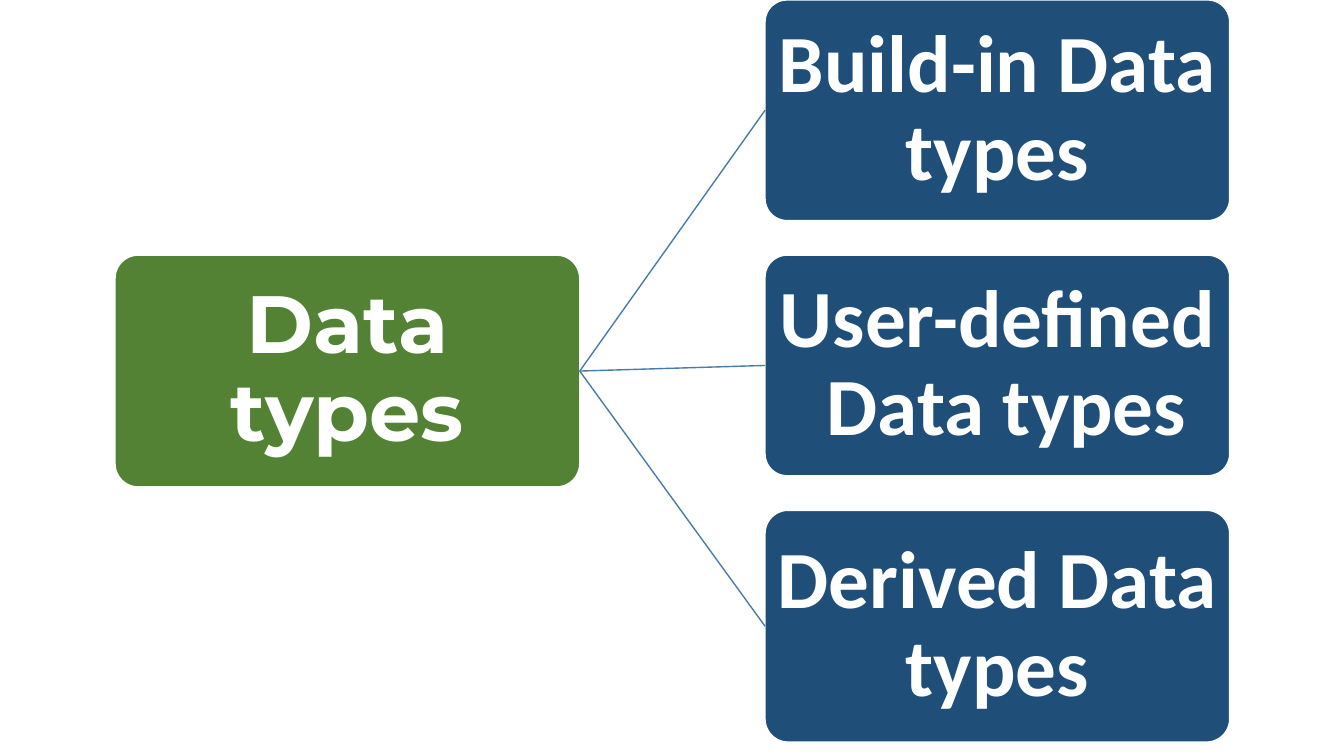
import pptx
import pptx.dml.color
import pptx.enum.shapes
import pptx.enum.text
import pptx.oxml.ns
import pptx.util
from pptx.util import Cm

WHITE = pptx.dml.color.RGBColor(0xFF, 0xFF, 0xFF)
GREEN = pptx.dml.color.RGBColor(0x54, 0x82, 0x35)
NAVY = pptx.dml.color.RGBColor(0x1F, 0x4E, 0x79)
BRANCH_BLUE = pptx.dml.color.RGBColor(0x49, 0x7C, 0xAB)

BOX_WIDTH = 11.71
ROW_PITCH = 6.43
TEXT_INSET = Cm(0.1)

presentation = pptx.Presentation()
presentation.slide_width = Cm(33.87)
presentation.slide_height = Cm(19.05)
slide = presentation.slides.add_slide(presentation.slide_layouts[6])


def add_box(text, *, left, top, height, fill, font):
    box = slide.shapes.add_shape(
        pptx.enum.shapes.MSO_SHAPE.ROUNDED_RECTANGLE,
        Cm(left), Cm(top), Cm(BOX_WIDTH), Cm(height))
    box.adjustments[0] = 0.1
    box.shadow.inherit = False
    box.fill.solid()
    box.fill.fore_color.rgb = fill
    box.line.color.rgb = WHITE
    box.line.width = pptx.util.Pt(1)

    frame = box.text_frame
    frame.word_wrap = True
    frame.vertical_anchor = pptx.enum.text.MSO_ANCHOR.MIDDLE
    frame.margin_left = frame.margin_right = TEXT_INSET
    frame.margin_top = frame.margin_bottom = TEXT_INSET
    paragraph = frame.paragraphs[0]
    paragraph.text = text
    paragraph.alignment = pptx.enum.text.PP_ALIGN.CENTER
    paragraph.line_spacing = 0.9
    for run in paragraph.runs:
        run.font.name = font
        run.font.size = pptx.util.Pt(58)
        run.font.bold = True
        run.font.color.rgb = WHITE
    return box


data_types = add_box("Data types", left=2.9, top=ROW_PITCH, height=5.84,
                     fill=GREEN, font="Montserrat")

categories = [
    ("Build-in Data types", 5.56),
    ("User-defined\v Data types", 5.56),
    ("Derived Data types", 5.84),
]
for row, (label, height) in enumerate(categories):
    category = add_box(label, left=19.28, top=row * ROW_PITCH, height=height,
                       fill=NAVY, font="Calibri")
    branch = slide.shapes.add_connector(
        pptx.enum.shapes.MSO_CONNECTOR.STRAIGHT, 0, 0, 0, 0)
    branch.begin_connect(data_types, 3)
    branch.end_connect(category, 1)
    branch.line.color.rgb = BRANCH_BLUE
    branch.line.width = pptx.util.Pt(1)
    branch.element.spPr.append(pptx.oxml.parse_xml(
        f"<a:effectLst {pptx.oxml.ns.nsdecls('a')}/>"))

presentation.save("out.pptx")
